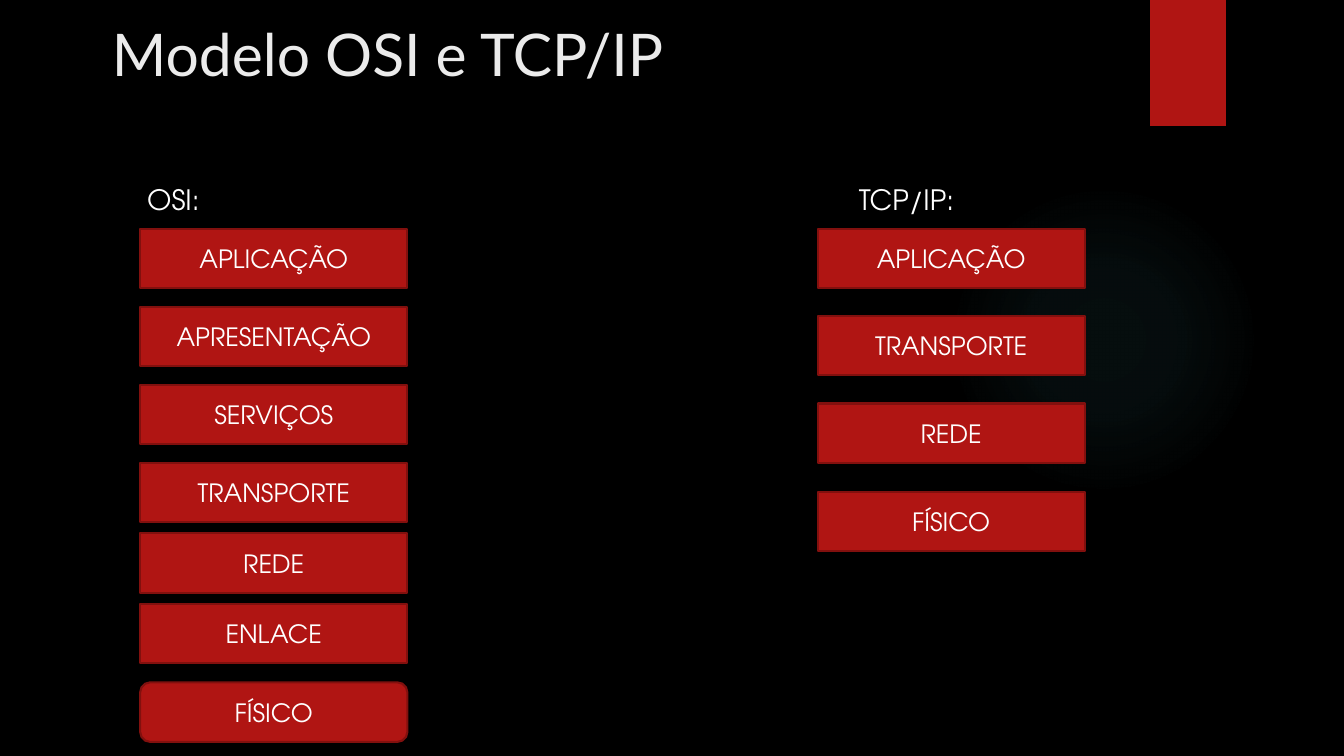
from dataclasses import dataclass
from itertools import accumulate

from lxml import etree
from pptx import Presentation
from pptx import util as u
from pptx.dml.color import RGBColor
from pptx.enum import shapes, text
from pptx.oxml import ns

SLIDE_WIDTH, SLIDE_HEIGHT = u.Inches(13.333), u.Inches(7.5)
RED, DARK_RED, WHITE = "B01513", "82100E", "FFFFFF"
BODY_FONT = "TeX Gyre Adventor"
RECT, ROUNDED = shapes.MSO_SHAPE.RECTANGLE, shapes.MSO_SHAPE.ROUNDED_RECTANGLE


@dataclass(frozen=True)
class Area:
    """A rectangle in percent of the slide's width and height."""
    left: float
    top: float
    width: float
    height: float

    def box(self) -> tuple[int, int, int, int]:
        return (int(SLIDE_WIDTH * self.left / 100), int(SLIDE_HEIGHT * self.top / 100),
                int(SLIDE_WIDTH * self.width / 100), int(SLIDE_HEIGHT * self.height / 100))


@dataclass(frozen=True)
class LayerStack:
    """Layers from top to bottom under a heading; steps are the distances between their tops."""
    heading: str
    heading_area: Area
    left: float
    layers: tuple[str, ...]
    steps: tuple[float, ...]
    rounded_layers: tuple[int, ...] = ()


STACK_TOP, LAYER_WIDTH, LAYER_HEIGHT = 30.27, 19.88, 7.87
STACKS = (
    LayerStack("OSI:", Area(9.9, 23.47, 42, 59.2), 10.43,
               ("APLICAÇÃO", "APRESENTAÇÃO", "SERVIÇOS", "TRANSPORTE",
                "REDE", "ENLACE", "FÍSICO"),
               (10.31,) * 3 + (9.33,) * 2 + (10.4,), rounded_layers=(6,)),
    LayerStack("TCP/IP:", Area(62.85, 23.47, 31.95, 59.2), 60.83,
               ("APLICAÇÃO", "TRANSPORTE", "REDE", "FÍSICO"), (11.5, 11.6, 11.7)),
)


def rgb(hex_color: str) -> RGBColor:
    return RGBColor.from_string(hex_color)


def format_text(paragraph, font: str, size: float, color: str, align) -> None:
    paragraph.alignment = align
    for run in paragraph.runs:
        run.font.name, run.font.size = font, u.Pt(size)
        run.font.color.rgb = rgb(color)


def add_plain_shape(slide, kind, area: Area, fill: str):
    shape = slide.shapes.add_shape(kind, *area.box())
    shape.shadow.inherit = False
    shape.fill.solid()
    shape.fill.fore_color.rgb = rgb(fill)
    shape.line.fill.background()
    return shape


def add_glow(slide, area: Area, color: str, stops: dict[int, int]) -> None:
    """Draw a radial gradient; stops map position to opacity, both in percent."""
    glow = add_plain_shape(slide, shapes.MSO_SHAPE.OVAL, area, color)
    gradient = etree.Element(ns.qn("a:gradFill"), rotWithShape="1")
    stop_list = etree.SubElement(gradient, ns.qn("a:gsLst"))
    for position, opacity in stops.items():
        stop = etree.SubElement(stop_list, ns.qn("a:gs"), pos=str(position * 1000))
        stop_color = etree.SubElement(stop, ns.qn("a:srgbClr"), val=color)
        etree.SubElement(stop_color, ns.qn("a:alpha"), val=str(opacity * 1000))
    radial = etree.SubElement(gradient, ns.qn("a:path"), {"path": "circle"})
    etree.SubElement(radial, ns.qn("a:fillToRect"), dict.fromkeys("ltrb", "50000"))
    properties = glow.element.spPr
    properties.replace(properties.find(ns.qn("a:solidFill")), gradient)


def fill_placeholder(placeholder, area: Area, content: str):
    placeholder.left, placeholder.top, placeholder.width, placeholder.height = area.box()
    frame = placeholder.text_frame
    frame.text = content
    frame.word_wrap = True
    frame.auto_size = text.MSO_AUTO_SIZE.NONE
    frame.vertical_anchor = text.MSO_ANCHOR.TOP
    return frame.paragraphs[0]


def replace_bullet_by_indent(paragraph, indent: float) -> None:
    """Set the left indent in percent of the slide's width."""
    properties = paragraph._p.get_or_add_pPr()
    properties.set("marL", str(int(SLIDE_WIDTH * indent / 100)))
    properties.set("indent", "0")
    etree.SubElement(properties, ns.qn("a:buNone"))


def add_heading(placeholder, stack: LayerStack) -> None:
    heading = fill_placeholder(placeholder, stack.heading_area, stack.heading)
    format_text(heading, BODY_FONT, 20, WHITE, text.PP_ALIGN.LEFT)
    heading.space_before = u.Pt(10)
    replace_bullet_by_indent(heading, 0.3)


def add_layers(slide, stack: LayerStack) -> None:
    tops = accumulate(stack.steps, initial=STACK_TOP)
    for index, (layer, top) in enumerate(zip(stack.layers, tops)):
        kind = ROUNDED if index in stack.rounded_layers else RECT
        block = add_plain_shape(slide, kind, Area(stack.left, top, LAYER_WIDTH, LAYER_HEIGHT), RED)
        block.line.color.rgb = rgb(DARK_RED)
        block.line.width = u.Pt(1.5)
        frame = block.text_frame
        frame.text = layer
        frame.vertical_anchor = text.MSO_ANCHOR.MIDDLE
        format_text(frame.paragraphs[0], BODY_FONT, 18, WHITE, text.PP_ALIGN.CENTER)


def main() -> None:
    deck = Presentation()
    deck.slide_width, deck.slide_height = SLIDE_WIDTH, SLIDE_HEIGHT
    two_content_layout = deck.slide_layouts[3]
    slide = deck.slides.add_slide(two_content_layout)
    slide.background.fill.solid()
    slide.background.fill.fore_color.rgb = rgb("000000")

    add_glow(slide, Area(70.58, 24.4, 23.1, 41.07), "50B9C1", {0: 7, 36: 6, 69: 0})
    add_plain_shape(slide, RECT, Area(85.58, 0, 5.63, 16.67), RED)

    title = fill_placeholder(slide.shapes.title, Area(7.58, 1.73, 84.9, 14.13),
                             "Modelo OSI e TCP/IP")
    format_text(title, "Lato", 42, "EBEBEB", text.PP_ALIGN.LEFT)

    for placeholder_index, stack in enumerate(STACKS, start=1):
        add_heading(slide.placeholders[placeholder_index], stack)
        add_layers(slide, stack)
    deck.save("out.pptx")


if __name__ == "__main__":
    main()
